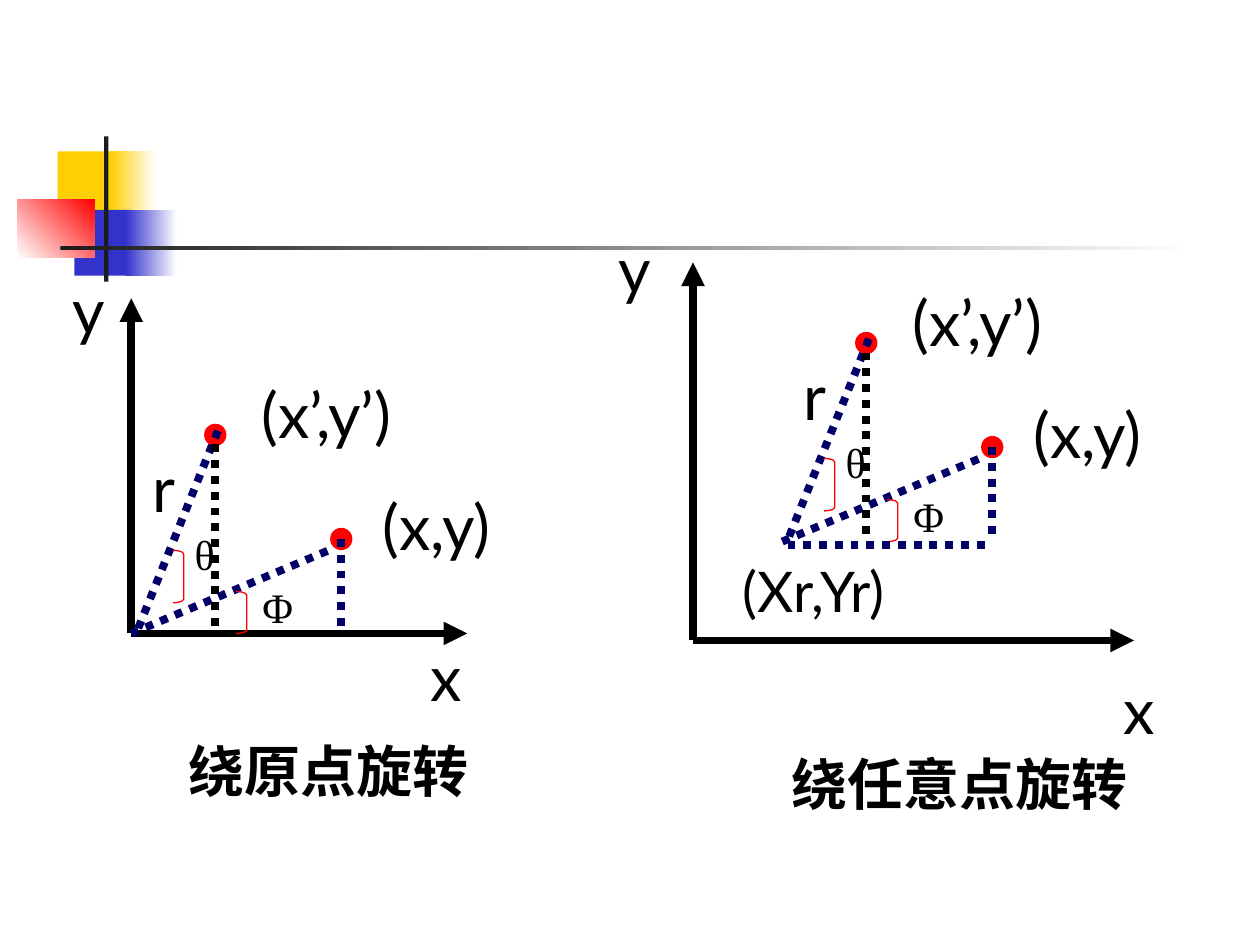
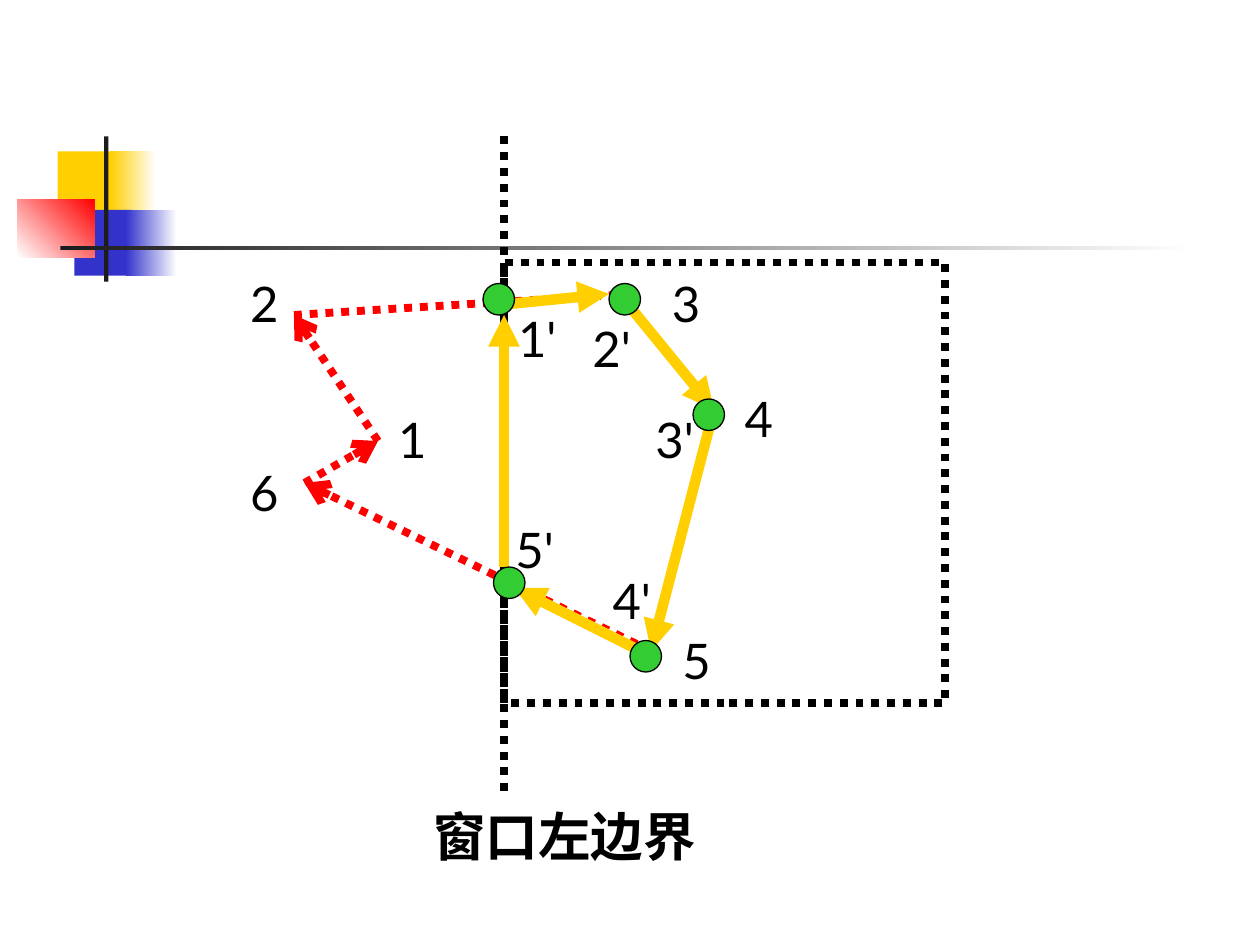
from lxml.etree import SubElement
from pptx import Presentation
from pptx.dml.color import RGBColor
from pptx.enum.dml import MSO_LINE
from pptx.enum.shapes import MSO_CONNECTOR, MSO_SHAPE
from pptx.enum.text import MSO_ANCHOR, PP_ALIGN
from pptx.oxml.ns import qn
from pptx.util import Pt

BLACK, WHITE, RED, NAVY = "000000", "FFFFFF", "FF0000", "000066"
YELLOW, BLUE, GREEN, CHARCOAL = "FFCF01", "3333CC", "33CC33", "1C1C1C"
SANS, SERIF = "Lato", "Times New Roman"

FRAME_FORMAT = {
    "word_wrap": False,
    "vertical_anchor": MSO_ANCHOR.MIDDLE,
    "margin_left": 0,
    "margin_right": 0,
    "margin_top": 0,
    "margin_bottom": 0,
}


def rgb(value):
    """Turn a hex string into a colour."""
    return RGBColor.from_string(value)


def apply(target, formats):
    """Set each attribute named in formats on target."""
    for name, value in formats.items():
        setattr(target, name, value)


def add_shape(s, kind, left, top, width, height, fill=None, line=None, weight=0.75):
    """Add a shadowless preset shape; a fill pair (start, end) makes a gradient."""
    sp = s.shapes.add_shape(kind, Pt(left), Pt(top), Pt(width), Pt(height))
    sp.shadow.inherit = False
    if fill is None:
        sp.fill.background()
    elif isinstance(fill, tuple):
        sp.fill.gradient()
        sp.fill.gradient_angle = 0
        for stop, colour in zip(sp.fill.gradient_stops, fill):
            stop.color.rgb = rgb(colour)
    else:
        sp.fill.solid()
        sp.fill.fore_color.rgb = rgb(fill)
    if line:
        sp.line.color.rgb = rgb(line)
        sp.line.width = Pt(weight)
    else:
        sp.line.fill.background()
    return sp


def add_dot(s, cx, cy, size, fill, line):
    """Add a circle around a centre."""
    add_shape(s, MSO_SHAPE.OVAL, cx - size / 2, cy - size / 2, size, size, fill, line)


def add_line(s, start, end, colour, weight=4.5, dotted=False, arrow=None):
    """Add a straight line with an optional arrowhead at its end."""
    points = [Pt(value) for value in (*start, *end)]
    cxn = s.shapes.add_connector(MSO_CONNECTOR.STRAIGHT, *points)
    cxn.line.color.rgb = rgb(colour)
    cxn.line.width = Pt(weight)
    if dotted:
        cxn.line.dash_style = MSO_LINE.ROUND_DOT
    props = cxn._element.spPr
    if arrow:
        SubElement(props.find(qn("a:ln")), qn("a:tailEnd"), type=arrow)
    SubElement(props, qn("a:effectLst"))


def add_label(s, text, cx, cy, width, size, font=SANS, bold=False):
    """Add one line of text around a centre."""
    height = size * 1.2
    box = s.shapes.add_textbox(Pt(cx - width / 2), Pt(cy - height / 2), Pt(width), Pt(height))
    tf = box.text_frame
    apply(tf, FRAME_FORMAT)
    p = tf.paragraphs[0]
    p.alignment = PP_ALIGN.CENTER
    r = p.add_run()
    r.text = text
    apply(r.font, {"name": font, "size": Pt(size), "bold": bold})
    r.font.color.rgb = rgb(BLACK)


def add_corner_motif(s, left, top):
    """Draw the coloured squares and the two crossing rules."""
    blocks = [
        (23, 8.5, 34.5, 37.5, YELLOW),
        (53, 8.5, 26, 37.5, (YELLOW, WHITE)),
        (32.5, 42, 33, 37.5, BLUE),
        (62, 42, 29, 37.5, (BLUE, WHITE)),
        (0, 36, 44, 33, (WHITE, RED)),
        (49.5, 0, 2.5, 83, CHARCOAL),
        (24.5, 62.5, 648, 2.5, (CHARCOAL, WHITE)),
    ]
    for x, y, width, height, fill in blocks:
        sp = add_shape(s, MSO_SHAPE.RECTANGLE, left + x, top + y, width, height, fill)
        if fill == (WHITE, RED):
            sp.fill.gradient_angle = 45


def add_axes(s, left, bottom, width, height, x_label, y_label):
    """Draw two arrowed axes from an origin, with labels offset from it."""
    origin = (left, bottom)
    for tip in ((left, bottom - height), (left + width, bottom)):
        add_line(s, origin, tip, BLACK, arrow="triangle")
    for text, (dx, dy) in (("x", x_label), ("y", y_label)):
        add_label(s, text, left + dx, bottom + dy, 19, 36)


def add_rotation(s, left, bottom):
    """Draw a point and its rotated image around a pivot."""
    for dx, dy in ((120, -54), (48, -113.5)):
        add_dot(s, left + dx, bottom + dy, 12, RED, RED)
    for x1, y1, x2, y2, colour in (
        (0, 0, 114, -48, NAVY),
        (4, -3, 50, -117, NAVY),
        (48, -108, 48, 0, BLACK),
        (120, -54, 120, 0, NAVY),
    ):
        add_line(s, (left + x1, bottom + y1), (left + x2, bottom + y2), colour, dotted=True)
    for dx, dy, height in ((60, -24, 24), (24, -47.5, 30)):
        arc = add_shape(s, MSO_SHAPE.RIGHT_BRACKET, left + dx, bottom + dy, 6, height, line=RED)
        arc.adjustments[0] = 0.35
    for text, dx, dy, width, size, font in (
        ("(x,y)", 174.5, -62, 68, 36, SANS),
        ("(x’,y’)", 111.5, -126, 83, 36, SANS),
        ("Φ", 83.5, -15, 17, 24, SERIF),
        ("θ", 42, -45.5, 12, 24, SERIF),
        ("r", 18.5, -83.5, 15, 36, SANS),
    ):
        add_label(s, text, left + dx, bottom + dy, width, size, font)


def add_pivot(s, left, bottom):
    """Draw the dotted base line and the name of a free pivot."""
    add_line(s, (left + 3, bottom + 2), (left + 117, bottom + 2), NAVY, dotted=True)
    add_label(s, "(Xr,Yr)", left + 18, bottom + 27.5, 91, 32)


def add_clipping(s, left, top, side):
    """Draw a polygon clipped against the left border of a square window."""

    def at(point):
        return left + point[0], top + point[1]

    window = add_shape(s, MSO_SHAPE.RECTANGLE, left, top, side, side, line=BLACK, weight=4.5)
    window.line.dash_style = MSO_LINE.ROUND_DOT
    v1, v2, v3, v4, v5, v6 = (-72, 102), (-120, 30), (72, 18), (120, 84), (84, 222), (-114, 126)
    for start, end, arrow in (
        (v1, v2, "arrow"), (v2, v3, None), (v6, v1, "arrow"), (v5, v6, "arrow"),
    ):
        add_line(s, at(start), at(end), RED, dotted=True, arrow=arrow)
    add_line(s, at((0, -72)), at((0, 306)), BLACK, dotted=True)
    for start, end in (
        ((66, 18), v4), (v4, v5), ((0, 174), (0, 30)), ((0, 24), (60, 18)), ((78, 222), (6, 186)),
    ):
        add_line(s, at(start), at(end), YELLOW, 6, arrow="triangle")
    for centre in ((69, 21), (117, 87), (-3, 21), (3, 183), (81, 225)):
        add_dot(s, *at(centre), 18, GREEN, BLACK)

    vertices = [(-52.5, 101), (-137, 23), (104, 23), (145.5, 89), (110, 227), (-137, 131)]
    clipped = [(19, 43), (61.5, 49), (97.5, 101), (73, 193), (17.5, 163.5)]
    for centres, mark, width in ((vertices, "", 16), (clipped, "'", 23)):
        for number, centre in enumerate(centres, 1):
            add_label(s, f"{number}{mark}", *at(centre), width, 28)
    add_label(s, "窗口左边界", *at((34.5, 327.5)), 150, 30, bold=True)


def new_slide(prs):
    """Add a blank slide carrying the shared motif."""
    s = prs.slides.add_slide(prs.slide_layouts[6])
    add_corner_motif(s, 10, 78)
    return s


def rotation_slide(prs):
    """Compare rotation about the origin and about any point."""
    s = new_slide(prs)
    add_axes(s, 75, 362, 192, 191.5, (180, 24.5), (-24, -185.5))
    add_rotation(s, 75, 362)
    add_label(s, "绕原点旋转", 188, 440, 208, 32, bold=True)
    add_axes(s, 396, 366, 252, 216, (255, 39.5), (-33, -212.5))
    add_rotation(s, 447, 309.5)
    add_pivot(s, 447, 309.5)
    add_label(s, "绕任意点旋转", 548.5, 447.5, 235, 32, bold=True)


def clipping_slide(prs):
    """Show clipping against the left window border."""
    add_clipping(new_slide(prs), 288, 150, 252)


def main():
    """Build and save the slides."""
    prs = Presentation()
    apply(prs, {"slide_width": Pt(720), "slide_height": Pt(540)})
    rotation_slide(prs)
    clipping_slide(prs)
    prs.save("out.pptx")


if __name__ == "__main__":
    main()
